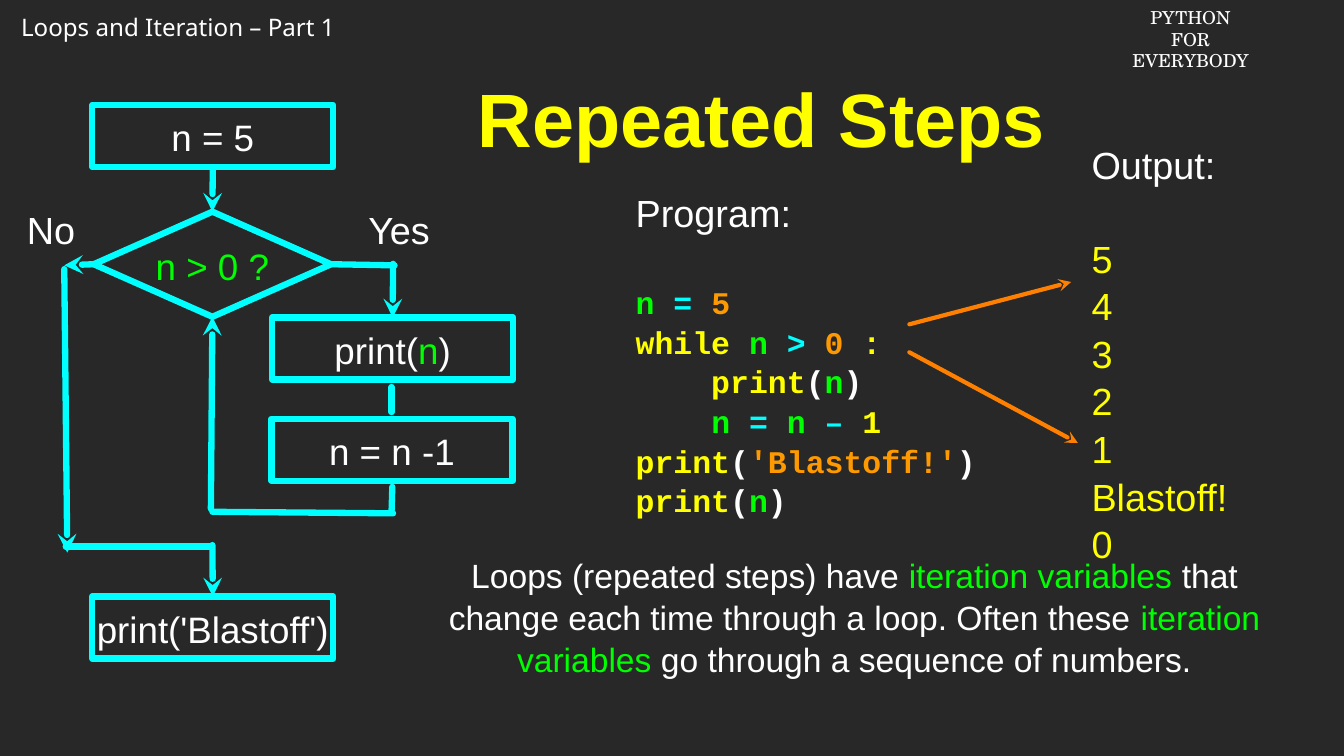
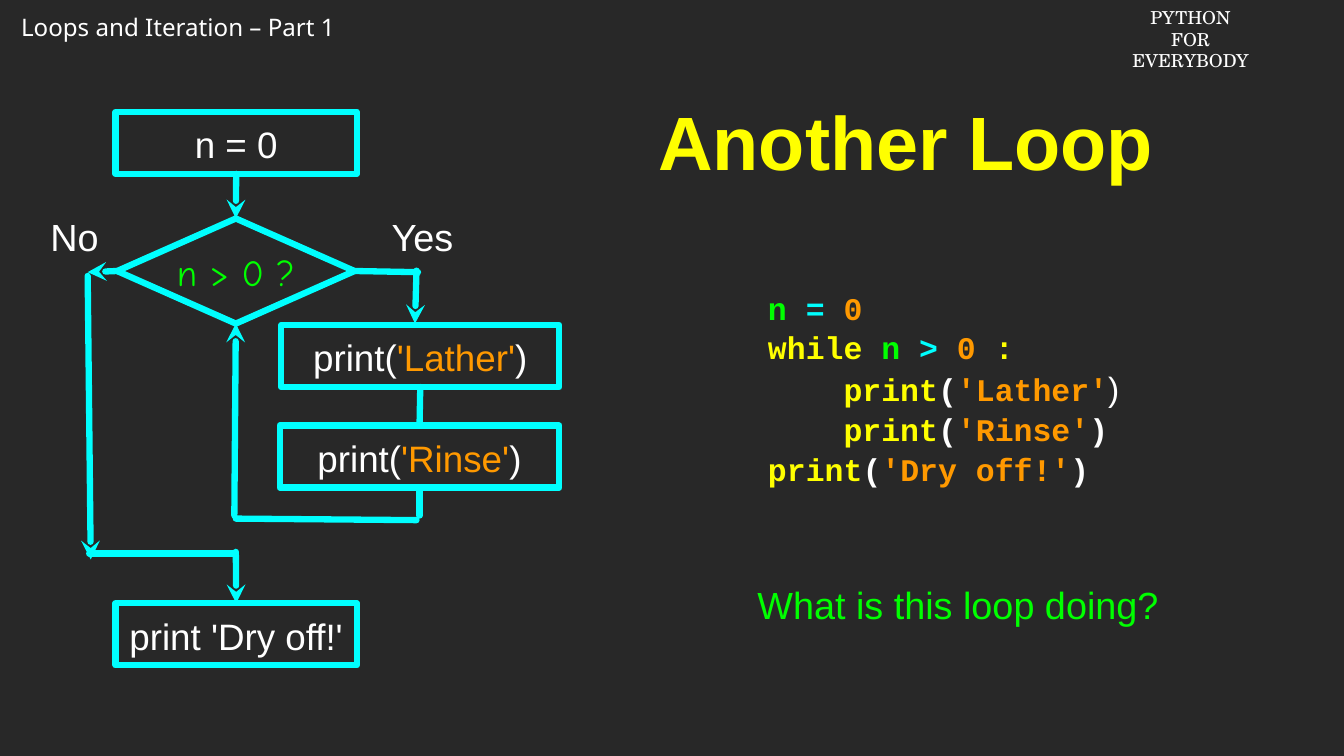
"""Build two slides on loops, each with a flowchart, a program and a remark."""
from math import dist

from lxml import etree
from pptx import Presentation
from pptx.dml.color import RGBColor
from pptx.enum import shapes, text
from pptx.oxml import ns
from pptx.util import Inches, Pt


class Theme:
    """Colours by role, and type styles as font, size and bold."""
    background = "282828"
    colours = dict(plain="FFFFFF", word="FFFF00", name="00FF00", op="00FFFF",
                   value="FF9900", flow="00FFFF", pointer="FF7F00")
    styles = dict(
        course=("Noto Sans", 23, False), series=("TeX Gyre Schola", 17, False),
        title=("Arial", 72, True), label=("Arial", 36, False),
        body=("Arial", 32, False), node=("Arial", 35, False),
        casual=("Comic Neue", 35, False), code=("Courier New", 30, True))
    body_spacing = 1.05
    heading_gap = 43.4
    flow_width, pointer_width = 6, 4


def plain(words):
    return [(words, "plain")]


def call(*argument, indent=""):
    return [(indent + "print", "word"), ("(", "plain"), argument, (")", "plain")]


def while_line():
    return [("while ", "word"), ("n ", "name"), ("> ", "op"), ("0", "value"), (" :", "word")]


def assign(value):
    return [("n ", "name"), ("= ", "op"), (value, "value")]


INDENT = " " * 4
COURSE = "Loops and Iteration – Part 1"
SERIES = ["PYTHON", "FOR", "EVERYBODY"]

NODE_SIZE = (3.19, 0.82)
START, TEST, FINISH = (1.22, 1.39), (1.24, 2.8, 3.14, 1.39), (1.22, 7.89)
NO_LABEL, YES_LABEL = (0.28, 2.68, 0.79, 0.68), (4.78, 2.68, 1, 0.68)
FLOW_LINES = [
    ((2.79, 2.19), (2.81, 2.81), True),
    ((2.79, 6.73), (2.81, 4.19), True),
    ((4.37, 3.49), (5.22, 3.51), False),
    ((5.2, 3.49), (5.18, 4.19), True),
    ((5.2, 6.79), (2.81, 6.77), False),
    ((1.24, 3.51), (0.85, 3.51), True),
    ((0.85, 3.56), (0.89, 7.31), True),
    ((0.87, 7.23), (2.79, 7.23), False),
    ((2.81, 7.21), (2.79, 7.92), True),
]

SLIDES = [
    dict(
        title=("Repeated Steps", (4.41, 0.86, 11.32, 1.31)),
        flow=dict(
            shift=(0, 0), start="n = 5", finish="print('Blastoff')", test_style="node",
            steps=[((3.6, 4.2, 3.19, 0.82),
                    [("print(", "plain"), ("n", "name"), (")", "plain")]),
                   ((3.59, 5.54, 3.19, 0.82), plain("n = n -1"))],
            links=[((5.18, 5.12), (5.18, 5.45)), ((5.19, 6.44), (5.18, 6.77))]),
        program=((8.41, 2.25, 4.63, 4.85), "Program:", [
            assign("5"),
            while_line(),
            call("n", "name", indent=INDENT),
            [(INDENT, "word"), ("n ", "name"), ("= ", "op"), ("n ", "name"),
             ("–", "op"), (" 1", "word")],
            call("'Blastoff!'", "value"),
            call("n", "name")]),
        output=((14.44, 2.05, 1.89, 5.24), "Output:",
                ["5", "4", "3", "2", "1", "Blastoff!", "0"]),
        pointers=[((12.03, 4.29), (14.17, 3.73)), ((12.03, 4.66), (14.26, 5.86))],
        remark=((5.5, 7.24, 11.61, 1.82), "body", [
            ("Loops (repeated steps) have ", "plain"), ("iteration variables ", "name"),
            ("that change each time through a loop. Often these ", "plain"),
            ("iteration variables ", "name"),
            ("go through a sequence of numbers.", "plain")])),
    dict(
        title=("Another Loop", (7.47, 0.89, 9.03, 1.88)),
        flow=dict(
            shift=(0.31, 0.09), start="n = 0", finish="print 'Dry off!'", test_style="casual",
            steps=[((3.72, 4.3, 3.68, 0.82),
                    [("print(", "plain"), ("'Lather'", "value"), (")", "plain")]),
                   ((3.7, 5.63, 3.7, 0.82),
                    [("print(", "plain"), ("'Rinse'", "value"), (")", "plain")])],
            links=[((5.56, 5.12), (5.55, 5.63)), ((5.55, 6.45), (5.55, 6.82))]),
        program=((10.16, 3.61, 5.49, 3.03), None, [
            assign("0"),
            while_line(),
            call("'Lather'", "value", indent=INDENT)[:-1] + [(")", "plain", "body")],
            call("'Rinse'", "value", indent=INDENT),
            call("'Dry off!'", "value")]),
        output=None,
        pointers=[],
        remark=((9.23, 7.64, 6.89, 0.68), "label", [("What is this loop doing?", "name")])),
]


def colour(role):
    return RGBColor.from_string(Theme.colours[role])


def add_run(paragraph, words, role, style):
    run = paragraph.add_run()
    run.text = words
    run.font.name, size, run.font.bold = Theme.styles[style]
    run.font.size = Pt(size)
    run.font.color.rgb = colour(role)


def write(shape, lines, style, centred=True, inset=0.0, heading=None):
    frame = shape.text_frame
    frame.word_wrap = True
    frame.vertical_anchor = text.MSO_ANCHOR.MIDDLE
    frame.margin_left = frame.margin_right = Inches(inset)
    frame.margin_top = frame.margin_bottom = Inches(inset)
    if heading:
        lines = [[(heading, "plain", "label")]] + lines
    for index, line in enumerate(lines):
        paragraph = frame.add_paragraph() if index else frame.paragraphs[0]
        paragraph.alignment = text.PP_ALIGN.CENTER if centred else text.PP_ALIGN.LEFT
        paragraph.line_spacing = Theme.body_spacing
        if heading and index == 1:
            paragraph.space_before = Pt(Theme.heading_gap)
        for words, role, *own_style in line:
            add_run(paragraph, words, role, own_style[0] if own_style else style)


def add_text(slide, box, lines, style, **options):
    write(slide.shapes.add_textbox(*map(Inches, box)), lines, style, **options)


def stroke(shape, role, width, arrow=False):
    shape.line.color.rgb = colour(role)
    shape.line.width = Pt(width)
    outline = shape.line._get_or_add_ln()
    outline.set("cap", "rnd")
    etree.SubElement(outline, ns.qn("a:round"))
    if arrow:
        etree.SubElement(outline, ns.qn("a:tailEnd"), type="stealth")


def add_node(slide, preset, box, line, style="node"):
    node = slide.shapes.add_shape(preset, *map(Inches, box))
    node.shadow.inherit = False
    node.fill.background()
    stroke(node, "flow", Theme.flow_width)
    write(node, [line], style)
    return node


def docking_site(point, nodes, reach=0.05):
    for node in nodes:
        left, top, width, height = (
            side / Inches(1) for side in (node.left, node.top, node.width, node.height))
        sites = [(left + width / 2, top), (left, top + height / 2),
                 (left + width / 2, top + height), (left + width, top + height / 2)]
        for index, site in enumerate(sites):
            if dist(point, site) < reach:
                return node, index
    return None


def add_line(slide, start, end, role, width, arrow, nodes=()):
    line = slide.shapes.add_connector(
        shapes.MSO_CONNECTOR.STRAIGHT, *map(Inches, (*start, *end)))
    stroke(line, role, width, arrow)
    etree.SubElement(line._element.spPr, ns.qn("a:effectLst"))
    for point, connect in ((start, line.begin_connect), (end, line.end_connect)):
        site = docking_site(point, nodes)
        if site:
            connect(*site)


def add_header(slide):
    corners = [((0.18, 0.12, 4.52, 0.49), [COURSE], "course", text.PP_ALIGN.LEFT),
               ((14.88, 0.04, 1.74, 0.67), SERIES, "series", text.PP_ALIGN.CENTER)]
    for box, lines, style, alignment in corners:
        frame = slide.shapes.add_textbox(*map(Inches, box)).text_frame
        frame.word_wrap = False
        for index, words in enumerate(lines):
            paragraph = frame.add_paragraph() if index else frame.paragraphs[0]
            paragraph.alignment = alignment
            add_run(paragraph, words, "plain", style)


def add_flowchart(slide, flow):
    dx, dy = flow["shift"]

    def moved(place):
        return (round(place[0] + dx, 2), round(place[1] + dy, 2), *place[2:])

    rectangle, diamond = shapes.MSO_SHAPE.RECTANGLE, shapes.MSO_SHAPE.DIAMOND
    nodes = [
        add_node(slide, rectangle, moved(START + NODE_SIZE), plain(flow["start"])),
        add_node(slide, diamond, moved(TEST), [("n > 0 ?", "name")], flow["test_style"]),
        add_node(slide, rectangle, moved(FINISH + NODE_SIZE), plain(flow["finish"]))]
    nodes += [add_node(slide, rectangle, box, line) for box, line in flow["steps"]]
    lines = [(moved(start), moved(end), arrow) for start, end, arrow in FLOW_LINES]
    lines += [(start, end, False) for start, end in flow["links"]]
    for start, end, arrow in lines:
        add_line(slide, start, end, "flow", Theme.flow_width, arrow, nodes)
    for box, answer in ((NO_LABEL, "No"), (YES_LABEL, "Yes")):
        add_text(slide, moved(box), [plain(answer)], "label")


def add_loop_slide(deck, content):
    slide = deck.slides.add_slide(deck.slide_layouts[6])
    add_header(slide)
    title, box = content["title"]
    add_text(slide, box, [[(title, "word")]], "title", inset=0.04)
    add_flowchart(slide, content["flow"])
    box, heading, code = content["program"]
    add_text(slide, box, code, "code", centred=False, heading=heading)
    if content["output"]:
        box, heading, printed = content["output"]
        add_text(slide, box, [[(words, "word")] for words in printed], "label",
                 centred=False, heading=heading)
    for start, end in content["pointers"]:
        add_line(slide, start, end, "pointer", Theme.pointer_width, True)
    box, style, remark = content["remark"]
    add_text(slide, box, [remark], style)


def main():
    deck = Presentation()
    deck.slide_width, deck.slide_height = Inches(17.78), Inches(10)
    backdrop = deck.slide_master.background.fill
    backdrop.solid()
    backdrop.fore_color.rgb = RGBColor.from_string(Theme.background)
    for content in SLIDES:
        add_loop_slide(deck, content)
    deck.save("out.pptx")


if __name__ == "__main__":
    main()
